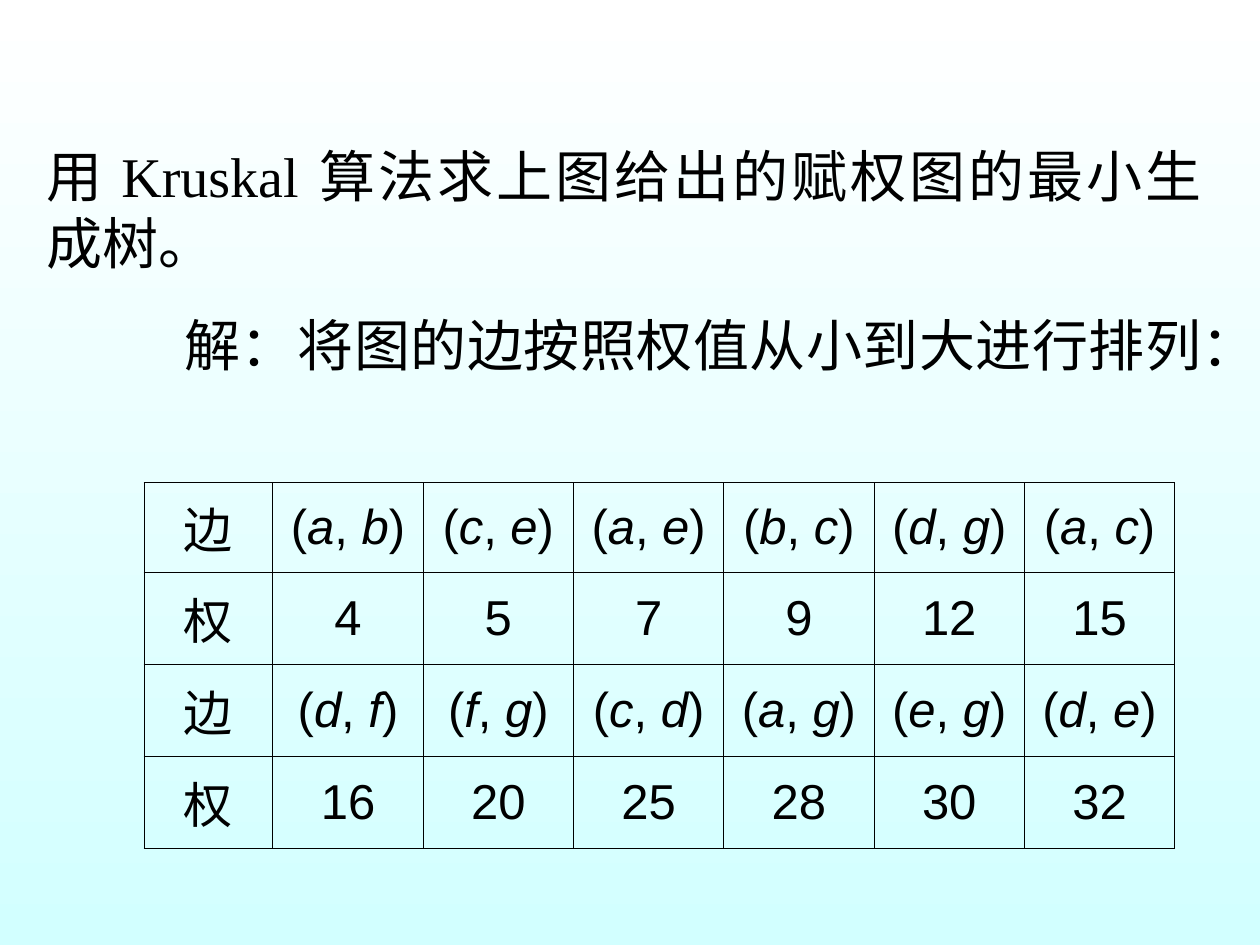
from dataclasses import dataclass

from lxml.etree import SubElement
from pptx import Presentation
from pptx.dml.color import RGBColor
from pptx.enum.text import MSO_ANCHOR, MSO_AUTO_SIZE, PP_ALIGN
from pptx.oxml.ns import qn
from pptx.slide import Slide
from pptx.table import _Cell
from pptx.util import Cm, Pt

BLACK = "000000"
BORDER_WIDTH = Pt(0.45)
BODY_FORMAT = {"name": "Times New Roman", "size": Pt(32)}
CELL_FORMAT = {"name": "Arial", "size": Pt(28)}


@dataclass
class Statement:
    text: str
    indent: float = 0  # first-line indent in cm


@dataclass
class Edge:
    ends: str  # the two vertices, one letter each
    weight: int


STATEMENTS = [
    Statement("用 Kruskal 算法求上图给出的赋权图的最小生成树。"),
    Statement("解：将图的边按照权值从小到大进行排列：", 2.78),
]
EDGES = [
    Edge("ab", 4), Edge("ce", 5), Edge("ae", 7),
    Edge("bc", 9), Edge("dg", 12), Edge("ac", 15),
    Edge("df", 16), Edge("fg", 20), Edge("cd", 25),
    Edge("ag", 28), Edge("eg", 30), Edge("de", 32),
]
EDGES_PER_ROW = 6


def color(value: str) -> RGBColor:
    return RGBColor.from_string(value)


def add_run(paragraph, text: str, font_format: dict, italic: bool = False) -> None:
    run = paragraph.add_run()
    run.text = text
    for name, value in font_format.items():
        setattr(run.font, name, value)
    run.font.italic = italic
    run.font.color.rgb = color(BLACK)


def set_background(slide: Slide, top: str, bottom: str) -> None:
    fill = slide.background.fill
    fill.gradient()
    fill.gradient_angle = 270
    for stop, value, position in zip(fill.gradient_stops, (top, bottom), (0, 1)):
        stop.color.rgb = color(value)
        stop.position = position


def add_statements(slide: Slide) -> None:
    shape = slide.shapes.add_textbox(Cm(0.69), Cm(2.72), Cm(23.8), Cm(5.03))
    frame = shape.text_frame
    frame.word_wrap = True
    frame.auto_size = MSO_AUTO_SIZE.SHAPE_TO_FIT_TEXT
    for index, statement in enumerate(STATEMENTS):
        paragraph = frame.add_paragraph() if index else frame.paragraphs[0]
        paragraph.alignment = PP_ALIGN.JUSTIFY
        if index:
            paragraph.space_before = Pt(20)
        if statement.indent:
            properties = paragraph._p.get_or_add_pPr()
            properties.set("marL", "0")
            properties.set("indent", str(Cm(statement.indent)))
        add_run(paragraph, statement.text, BODY_FORMAT)


def draw_borders(cell: _Cell) -> None:
    properties = cell._tc.get_or_add_tcPr()
    for side in ("lnL", "lnR", "lnT", "lnB"):
        line = SubElement(properties, qn(f"a:{side}"), w=str(BORDER_WIDTH))
        fill = SubElement(line, qn("a:solidFill"))
        SubElement(fill, qn("a:srgbClr"), val=BLACK)


def fill_cell(cell: _Cell, parts: list[tuple[str, bool]]) -> None:
    """Write (text, italic) parts into a bordered, centred cell."""
    draw_borders(cell)
    cell.fill.background()
    cell.vertical_anchor = MSO_ANCHOR.MIDDLE
    paragraph = cell.text_frame.paragraphs[0]
    paragraph.alignment = PP_ALIGN.CENTER
    for text, italic in parts:
        add_run(paragraph, text, CELL_FORMAT, italic)


def add_edge_table(slide: Slide) -> None:
    widths = [2.6] + [3.03] * EDGES_PER_ROW
    heights = [1.8, 1.86, 1.86, 1.86]
    table = slide.shapes.add_table(
        len(heights), len(widths), Cm(2.9), Cm(9.73),
        Cm(sum(widths)), Cm(sum(heights)),
    ).table
    table.first_row = table.horz_banding = False
    for column, width in zip(table.columns, widths):
        column.width = Cm(width)
    for row, height in zip(table.rows, heights):
        row.height = Cm(height)

    # Row labels, then each edge above its weight
    for row in range(len(heights)):
        fill_cell(table.cell(row, 0), [("边权"[row % 2], False)])
    for index, edge in enumerate(EDGES):
        block, column = divmod(index, EDGES_PER_ROW)
        start, end = edge.ends
        parts = [("(", False), (start, True), (", ", False), (end, True), (")", False)]
        fill_cell(table.cell(2 * block, column + 1), parts)
        fill_cell(table.cell(2 * block + 1, column + 1), [(str(edge.weight), False)])


def main() -> None:
    presentation = Presentation()
    presentation.slide_width, presentation.slide_height = Cm(25.4), Cm(19.05)
    slide = presentation.slides.add_slide(presentation.slide_layouts[6])
    set_background(slide, "FFFFFF", "D2FFFF")
    add_statements(slide)
    add_edge_table(slide)
    presentation.save("out.pptx")


if __name__ == "__main__":
    main()
